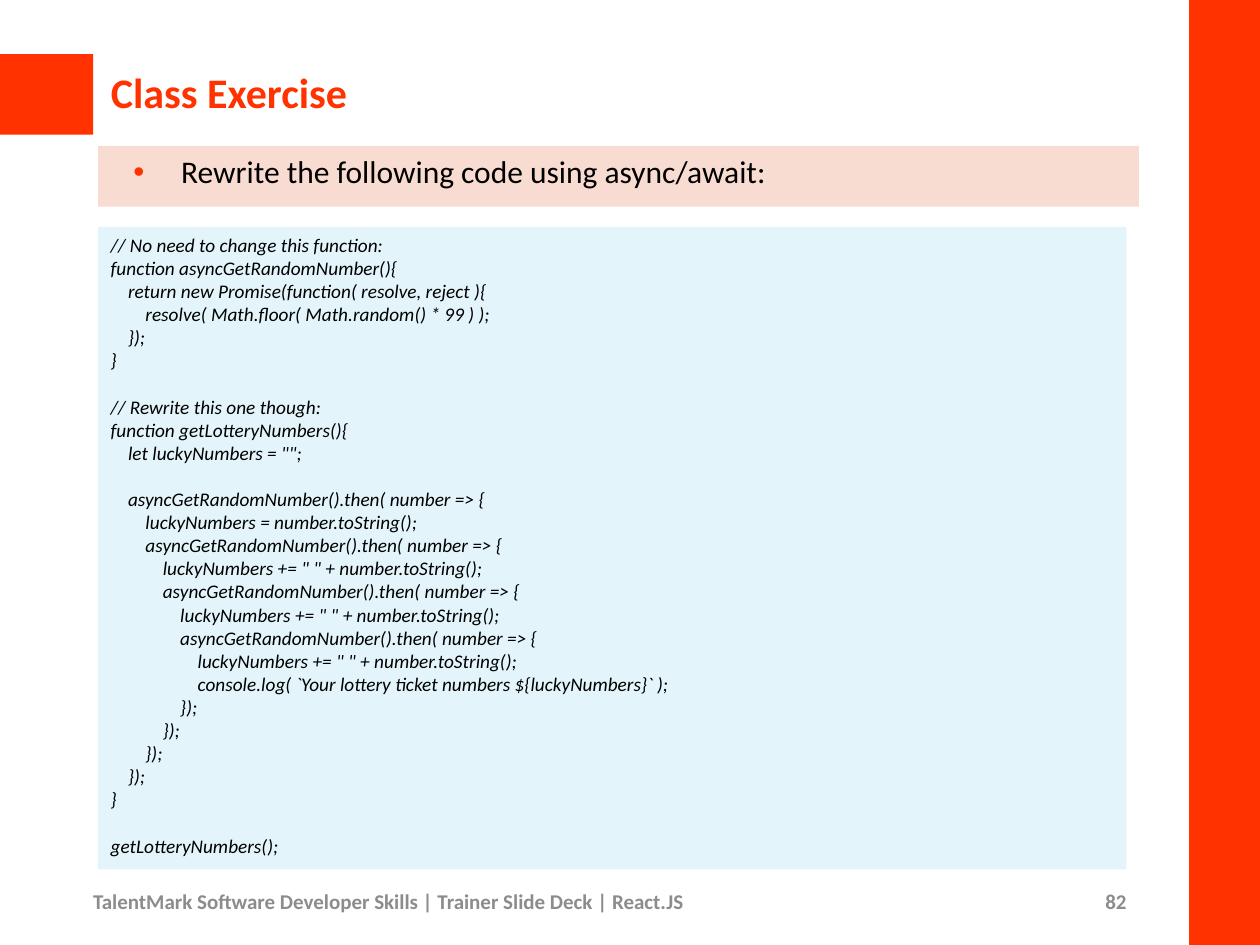
from pptx import Presentation
from pptx.dml.color import RGBColor
from pptx.enum.shapes import MSO_SHAPE as Shape
from pptx.enum.text import MSO_ANCHOR as Anchor, MSO_AUTO_SIZE as Fit, PP_ALIGN as Align
from pptx.oxml.ns import qn
from pptx.util import Inches, Pt
from lxml.etree import SubElement as Sub

COLS, ROWS = 100, 75
RED, GREY, BLACK = "FF3200", "8C8C8C", "000000"
PINK, BLUE = "F9DCD1", "E3F5FB"

HELPER = """\
// No need to change this function:
function asyncGetRandomNumber(){
    return new Promise(function( resolve, reject ){
        resolve( Math.floor( Math.random() * 99 ) );
    });
}"""

LOTTERY = """\
// Rewrite this one though:
function getLotteryNumbers(){
    let luckyNumbers = "";

    asyncGetRandomNumber().then( number => {
        luckyNumbers = number.toString();
        asyncGetRandomNumber().then( number => {
            luckyNumbers += " " + number.toString();
            asyncGetRandomNumber().then( number => {
                luckyNumbers += " " + number.toString();
                asyncGetRandomNumber().then( number => {
                    luckyNumbers += " " + number.toString();
                    console.log( `Your lottery ticket numbers ${luckyNumbers}` );
                });
            });
        });
    });
}"""

CALL = "getLotteryNumbers();"

deck = Presentation()
deck.slide_width, deck.slide_height = Inches(10), Inches(7.5)
slide = deck.slides.add_slide(deck.slide_layouts[5])


def color(code):
    return RGBColor.from_string(code)


def grid(box):
    """Turn left, top, width and height in grid cells into slide lengths."""
    x, y, w, h = box
    col, row = deck.slide_width / COLS, deck.slide_height / ROWS
    return [round(n) for n in (x * col, y * row, w * col, h * row)]


def block(box, fill):
    rect = slide.shapes.add_shape(Shape.RECTANGLE, *grid(box))
    rect.shadow.inherit = False
    rect.fill.solid()
    rect.fill.fore_color.rgb = color(fill)
    rect.line.fill.background()
    return rect


def write(shape, text, size, tint, bold=False, slant=False,
          align=Align.LEFT, anchor=Anchor.MIDDLE):
    frame = shape.text_frame
    frame.text = text
    frame.word_wrap = True
    frame.auto_size = Fit.NONE
    frame.vertical_anchor = anchor
    for para in frame.paragraphs:
        para.alignment = align
        for run in para.runs:
            font = run.font
            font.name, font.size = "Calibri", Pt(size)
            font.bold, font.italic = bold, slant
            font.color.rgb = color(tint)
        if not para.runs:
            Sub(para._p, qn("a:endParaRPr")).set("sz", str(size * 100))
    return frame


def label(box, text, align):
    note = slide.shapes.add_textbox(*grid(box))
    write(note, text, 12, GREY, bold=True, align=align)


def accents(tab, side):
    block(tab, RED)
    edge = block(side, RED)
    edge.line.color.rgb = color(RED)
    edge.line.width = Pt(0.75)


def heading(box, text):
    title = slide.shapes.title
    title.left, title.top, title.width, title.height = grid(box)
    frame = write(title, text, 24, RED, bold=True)
    frame.paragraphs[0].line_spacing = 0.9


def task(box, text):
    """Place the tinted bar with its one bulleted line."""
    frame = write(block(box, PINK), text, 18, BLACK, anchor=Anchor.TOP)
    para = frame.paragraphs[0]
    para.space_after = Pt(6)
    props = para._p.get_or_add_pPr()
    props.set("marL", str(Inches(0.56)))
    props.set("indent", str(Inches(-0.38)))
    Sub(Sub(props, qn("a:buClr")), qn("a:srgbClr")).set("val", RED)
    Sub(props, qn("a:buFont")).set("typeface", "Arial")
    Sub(props, qn("a:buChar")).set("char", "•")


def listing(box, *parts):
    """Place the code parts with one empty line between them."""
    frame = write(block(box, BLUE), "\n\n".join(parts), 11, BLACK,
                  slant=True, anchor=Anchor.TOP)
    frame.auto_size = Fit.SHAPE_TO_FIT_TEXT


def footer(box, text, number):
    x, y, w, h = box
    split = 64.2
    label((x, y, split, h), text, Align.LEFT)
    label((x + split, y, w - split, h), number, Align.RIGHT)


accents((0, 4.3, 7.4, 6.4), (94.4, 0, 5.6, ROWS))
heading((7.8, 4.3, 85.3, 6.4), "Class Exercise")
task((7.8, 11.6, 82.6, 4.8), "Rewrite the following code using async/await:")
footer((6.4, 69.5, 84, 4),
       "TalentMark Software Developer Skills | Trainer Slide Deck | React.JS", "82")
listing((7.8, 18, 81.6, 51), HELPER, LOTTERY, CALL)

deck.save("out.pptx")
